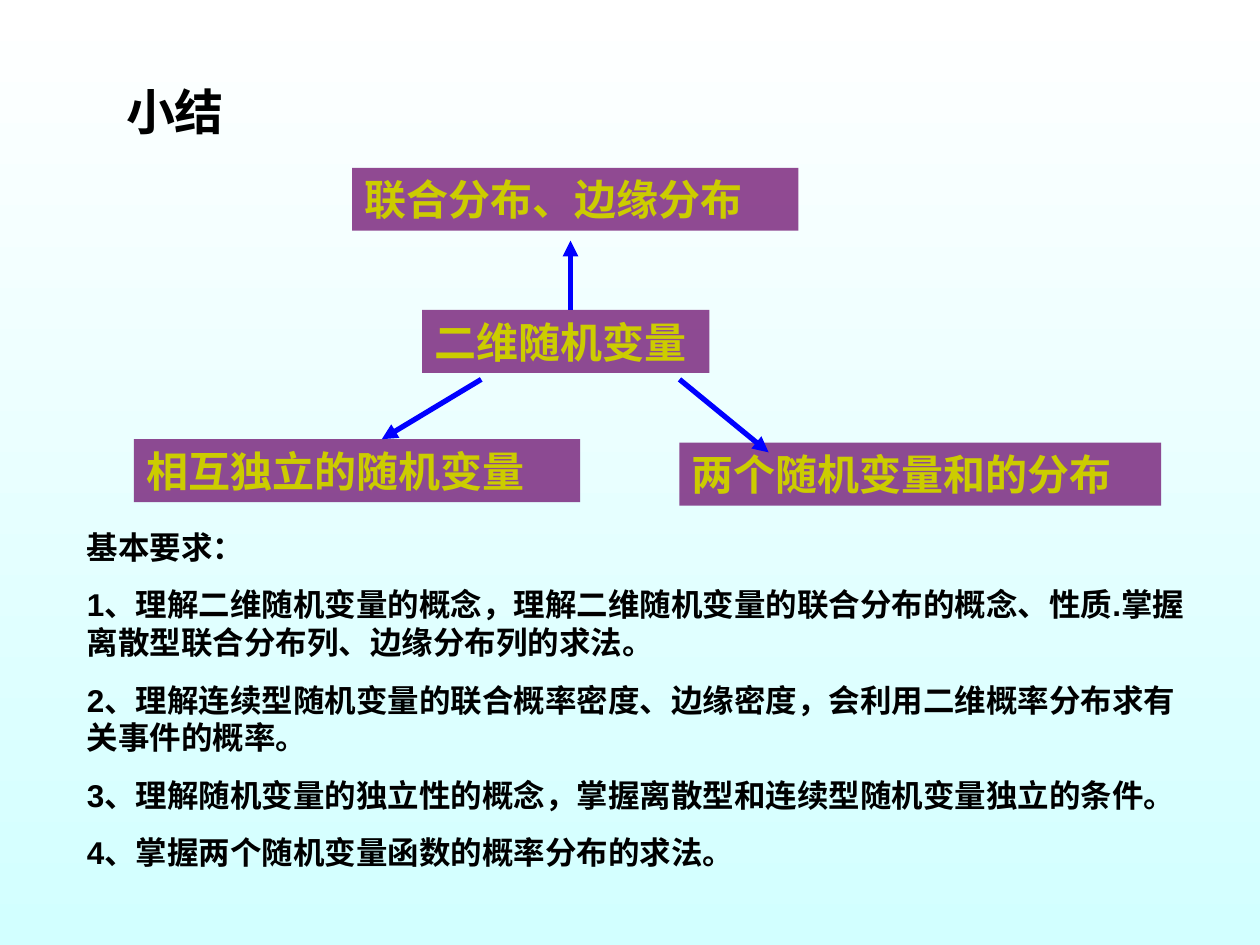
from lxml.etree import SubElement as Sub
from pptx import Presentation
from pptx.dml.color import RGBColor as RGB
from pptx.enum.shapes import MSO_CONNECTOR as Conn, MSO_SHAPE as Shape
from pptx.enum.text import MSO_ANCHOR as Anchor, MSO_AUTO_SIZE as Auto, PP_ALIGN as Align
from pptx.oxml.ns import qn
from pptx.util import Pt

BLACK = RGB(0x00, 0x00, 0x00)
WHITE = RGB(0xFF, 0xFF, 0xFF)
CYAN = RGB(0xD2, 0xFF, 0xFF)
PURPLE = RGB(0x66, 0x00, 0x66)
GOLD = RGB(0xCC, 0xCC, 0x00)
BLUE = RGB(0x00, 0x00, 0xFF)


def place(shape, left, top, width, height):
    spots = {"left": left, "top": top, "width": width, "height": height}
    for name, value in spots.items():
        setattr(shape, name, Pt(value))


def write(shape, lines, size, color, gap=0):
    frame = shape.text_frame
    frame.text = "\n".join(lines)
    look = {"word_wrap": True, "auto_size": Auto.NONE, "vertical_anchor": Anchor.TOP,
            "margin_left": Pt(7.2), "margin_right": Pt(7.2),
            "margin_top": Pt(3.6), "margin_bottom": Pt(3.6)}
    for name, value in look.items():
        setattr(frame, name, value)
    style = {"name": "Arial", "size": Pt(size), "bold": True}
    for i, para in enumerate(frame.paragraphs):
        para.alignment = Align.LEFT
        para.space_before = Pt(gap if i else 0)
        props = para._p.get_or_add_pPr()
        props.set("marL", "0")
        props.set("indent", "0")
        Sub(props, qn("a:buNone"))
        for name, value in style.items():
            setattr(para.runs[0].font, name, value)
        para.runs[0].font.color.rgb = color


deck = Presentation()
deck.slide_width, deck.slide_height = Pt(720), Pt(540)
slide = deck.slides.add_slide(deck.slide_layouts[1])

# Background: white at the top to pale cyan at the bottom
fill = slide.background.fill
fill.gradient()
fill.gradient_angle = 270
for stop, color, spot in zip(fill.gradient_stops, (WHITE, CYAN), (0, 1)):
    stop.color.rgb = color
    stop.position = spot

# Title
title = slide.shapes.title
place(title, 64.8, 43.2, 289.4, 41)
write(title, ["小结"], 28, BLACK)

# Topic boxes: the centre one, then those around it
boxes = [
    ("二维随机变量", 241.2, 177.1, 164.2),
    ("联合分布、边缘分布", 201.3, 95.9, 255),
    ("相互独立的随机变量", 76.5, 251, 255),
    ("两个随机变量和的分布", 388.3, 253, 275.3),
]
for text, left, top, width in boxes:
    box = slide.shapes.add_shape(Shape.RECTANGLE, Pt(left), Pt(top), Pt(width), Pt(36))
    box.shadow.inherit = False
    box.fill.solid()
    box.fill.fore_color.rgb = PURPLE
    tone = box.fill._xPr.find(".//" + qn("a:srgbClr"))
    Sub(tone, qn("a:alpha"), val="71000")
    box.line.fill.background()
    write(box, [text], 24, GOLD)

# Arrows from the centre box to the others
arrows = [
    (326, 177.1, 326, 137.5),
    (275, 216.8, 218.2, 251),
    (388.3, 216.8, 439.2, 258.5),
]
for ends in arrows:
    arrow = slide.shapes.add_connector(Conn.STRAIGHT, *map(Pt, ends))
    arrow.line.color.rgb = BLUE
    arrow.line.width = Pt(3)
    Sub(arrow.line._get_or_add_ln(), qn("a:tailEnd"), type="triangle")
    Sub(arrow._element.spPr, qn("a:effectLst"))

# Requirements
body = slide.placeholders[1]
place(body, 42.5, 298.1, 643.7, 203.8)
write(body, [
    "基本要求：",
    "1、理解二维随机变量的概念，理解二维随机变量的联合分布的概念、性质.掌握离散型联合分布列、边缘分布列的求法。",
    "2、理解连续型随机变量的联合概率密度、边缘密度，会利用二维概率分布求有关事件的概率。",
    "3、理解随机变量的独立性的概念，掌握离散型和连续型随机变量独立的条件。",
    "4、掌握两个随机变量函数的概率分布的求法。",
], 18, BLACK, 11.2)

deck.save("out.pptx")
